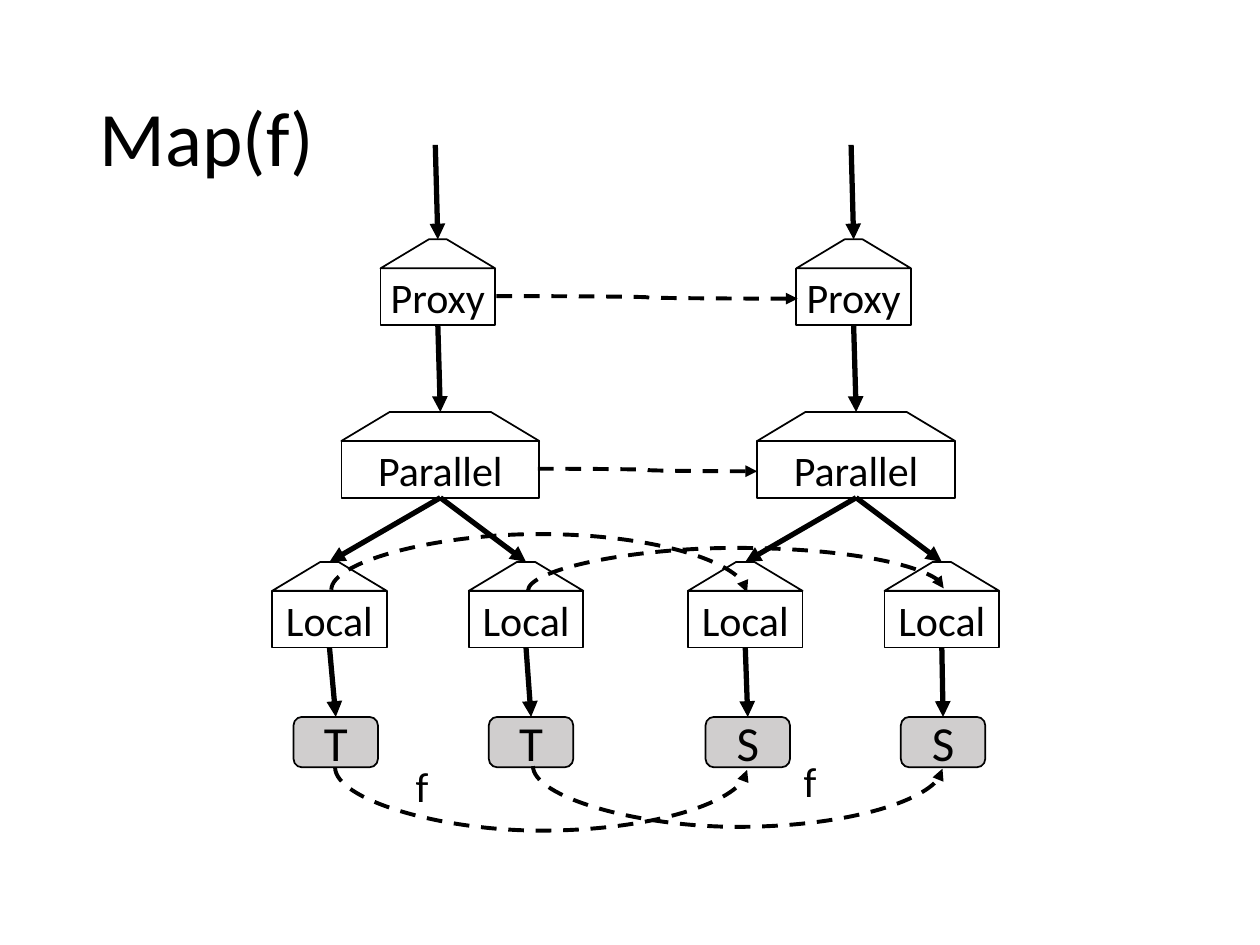
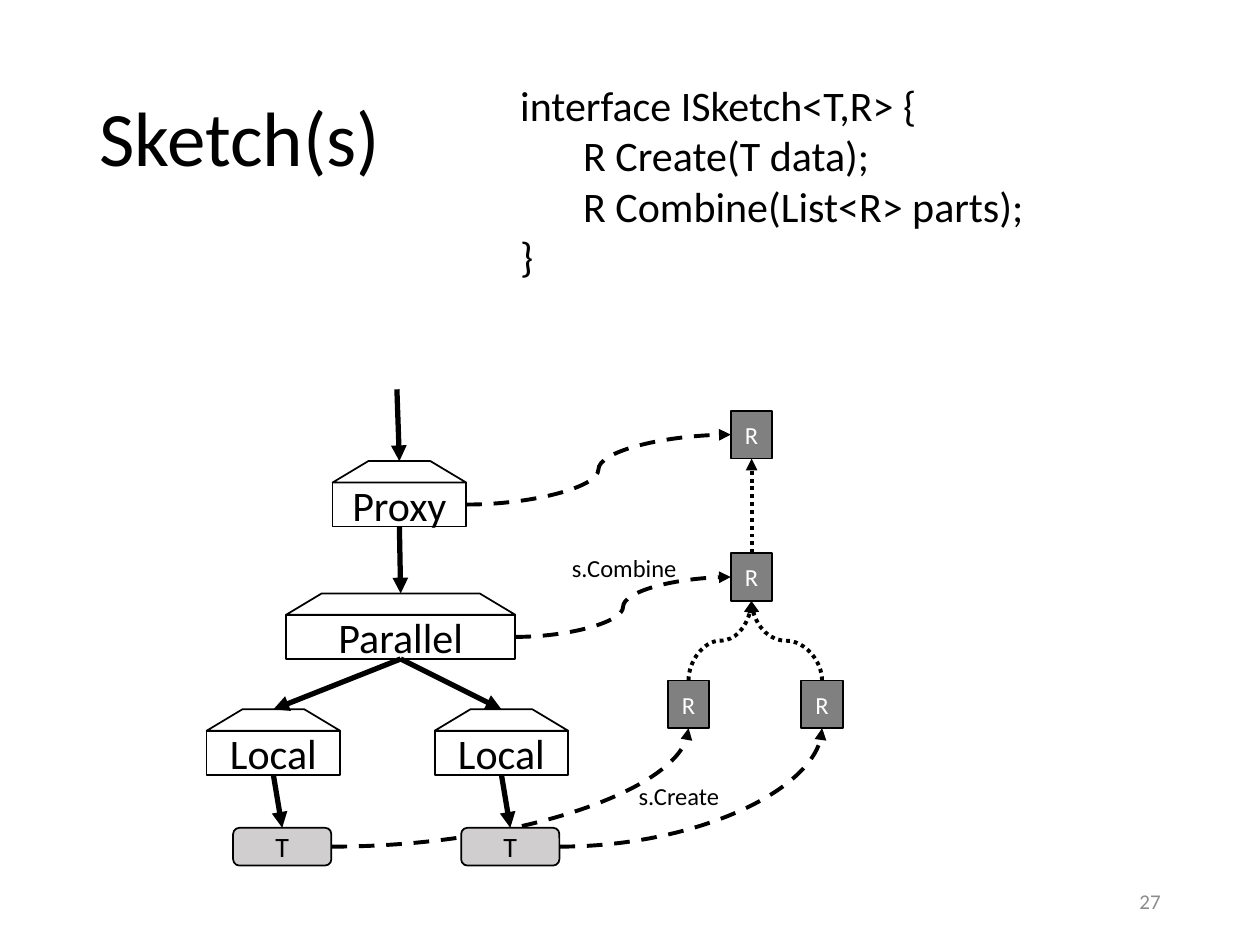
from dataclasses import dataclass

import pptx
import pptx.dml.color
import pptx.enum.dml
import pptx.enum.shapes
import pptx.enum.text
import pptx.oxml
import pptx.oxml.ns
import pptx.util

Inches = pptx.util.Inches
Pt = pptx.util.Pt
RGBColor = pptx.dml.color.RGBColor
SHAPE = pptx.enum.shapes.MSO_SHAPE
CONNECTOR = pptx.enum.shapes.MSO_CONNECTOR
DASH = pptx.enum.dml.MSO_LINE
ALIGN = pptx.enum.text.PP_ALIGN
ANCHOR = pptx.enum.text.MSO_ANCHOR
qn = pptx.oxml.ns.qn

BLACK = RGBColor(0x00, 0x00, 0x00)
WHITE = RGBColor(0xFF, 0xFF, 0xFF)
LEAF_GRAY = RGBColor(0xD0, 0xCE, 0xCE)
RESULT_GRAY = RGBColor(0x80, 0x80, 0x80)
NUMBER_GRAY = RGBColor(0x8C, 0x8C, 0x8C)
FONT = "Calibri"
TOP, LEFT, BOTTOM, RIGHT = range(4)


@dataclass
class TreeStyle:
    """Measures of a tree in inches; offsets count from its first Local node."""
    node_width: float
    parallel_width: float
    roof_height: float
    box_height: float
    proxy_offset: float
    parallel_offset: float
    step: float
    entry_top: float
    proxy_top: float
    parallel_top: float
    local_top: float
    leaf_top: float
    leaf_width: float
    leaf_height: float
    leaf_size: int


MAP_STYLE = TreeStyle(0.91, 1.57, 0.23, 0.45, 0.86, 0.55, 1.56,
                      1.15, 1.9, 3.27, 4.46, 5.69, 0.67, 0.4, 28)
SKETCH_STYLE = TreeStyle(1.06, 1.82, 0.17, 0.35, 1.0, 0.63, 1.81,
                         3.09, 3.66, 4.71, 5.63, 6.57, 0.78, 0.3, 16)


def style_text(text_frame, size, color=BLACK, align=ALIGN.LEFT):
    for paragraph in text_frame.paragraphs:
        paragraph.alignment = align
        for run in paragraph.runs:
            run.font.name = FONT
            run.font.size = Pt(size)
            run.font.color.rgb = color


def add_title(slide, text, width):
    title = slide.shapes.title
    title.left, title.top = Inches(0.69), Inches(0.4)
    title.width, title.height = Inches(width), Inches(1.45)
    title.text_frame.text = text
    title.text_frame.vertical_anchor = ANCHOR.MIDDLE
    title.text_frame.paragraphs[0].line_spacing = 0.9
    style_text(title.text_frame, 44)


def add_label(slide, text, left, top, width, height, size, wrap=True):
    label = slide.shapes.add_textbox(
        Inches(left), Inches(top), Inches(width), Inches(height))
    label.text_frame.word_wrap = wrap
    label.text_frame.text = text
    style_text(label.text_frame, size)
    return label


def add_block(shapes, kind, left, top, width, height, text="", size=24,
              fill=None, color=BLACK):
    block = shapes.add_shape(
        kind, Inches(left), Inches(top), Inches(width), Inches(height))
    block.shadow.inherit = False
    if fill is None:
        block.fill.background()
    else:
        block.fill.solid()
        block.fill.fore_color.rgb = fill
    block.line.color.rgb = BLACK
    block.line.width = Pt(1)
    if text:
        block.text_frame.text = text
        block.text_frame.word_wrap = False
        block.text_frame.vertical_anchor = ANCHOR.MIDDLE
        style_text(block.text_frame, size, color, ALIGN.CENTER)
    return block


def add_node(slide, style, text, left, top, width):
    """Add a box with a roof; return the roof and the box."""
    group = slide.shapes.add_group_shape()
    roof = add_block(group.shapes, SHAPE.TRAPEZOID, left, top, width, style.roof_height)
    roof.adjustments[0] = 1.667
    box = add_block(group.shapes, SHAPE.RECTANGLE, left, top + style.roof_height,
                    width, style.box_height, text)
    return roof, box


def is_joint(end):
    """Tell a (shape, side) pair from a point."""
    return hasattr(end[0], "shape_id")


def add_arrow(slide, start, end, kind=CONNECTOR.STRAIGHT, width=3, dash=None):
    """Add an arrow; each end is a point in inches or a (shape, side) pair."""
    arrow = slide.shapes.add_connector(kind, 0, 0, 0, 0)
    if is_joint(start):
        arrow.begin_connect(*start)
    else:
        arrow.begin_x, arrow.begin_y = Inches(start[0]), Inches(start[1])
    if is_joint(end):
        arrow.end_connect(*end)
    else:
        arrow.end_x, arrow.end_y = Inches(end[0]), Inches(end[1])
    arrow.line.color.rgb = BLACK
    arrow.line.width = Pt(width)
    if dash:
        arrow.line.dash_style = dash
    properties = arrow._element.spPr
    namespace = pptx.oxml.ns.nsdecls("a")
    properties.find(qn("a:ln")).append(
        pptx.oxml.parse_xml(f'<a:tailEnd {namespace} type="triangle"/>'))
    properties.append(pptx.oxml.parse_xml(f"<a:effectLst {namespace}/>"))
    return arrow


def add_curve(slide, start, end, dash=DASH.DASH):
    return add_arrow(slide, start, end, CONNECTOR.CURVE, 2.25, dash)


def turn_vertical(curve, reach=None):
    """Make a curve leave vertically, going out by reach inches before it returns."""
    across = curve.end_x - curve.begin_x
    down = curve.end_y - curve.begin_y
    middle_x = (curve.begin_x + curve.end_x) // 2
    middle_y = (curve.begin_y + curve.end_y) // 2
    curve.width, curve.height = abs(down), abs(across)
    curve.left = middle_x - curve.width // 2
    curve.top = middle_y - curve.height // 2
    frame = curve._element.spPr.find(qn("a:xfrm"))
    frame.set("rot", str(90 * 60000))
    frame.set("flipH", str(int(down < 0)))
    frame.set("flipV", str(int(across > 0)))
    if reach is not None:
        adjustments = curve._element.spPr.find(qn("a:prstGeom")).find(qn("a:avLst"))
        guide = adjustments.makeelement(qn("a:gd"), {
            "name": "adj1", "fmla": f"val {round(Inches(reach) / down * 100000)}"})
        adjustments.append(guide)


def make_quarter(curve):
    curve._element.spPr.find(qn("a:prstGeom")).set("prst", "curvedConnector2")


def add_tree(slide, style, left):
    """Add the nodes from Proxy to Local; return the Proxy, Parallel and Local boxes."""
    proxy_left = left + style.proxy_offset
    proxy_roof, proxy = add_node(slide, style, "Proxy", proxy_left,
                                 style.proxy_top, style.node_width)
    parallel_roof, parallel = add_node(slide, style, "Parallel", left + style.parallel_offset,
                                       style.parallel_top, style.parallel_width)
    entry_x = proxy_left + style.node_width / 2 - 0.02
    add_arrow(slide, (entry_x, style.entry_top), (proxy_roof, TOP))
    add_arrow(slide, (proxy, BOTTOM), (parallel_roof, TOP))
    local_boxes = []
    for index in range(2):
        roof, box = add_node(slide, style, "Local", left + index * style.step,
                             style.local_top, style.node_width)
        add_arrow(slide, (parallel, BOTTOM), (roof, TOP))
        local_boxes.append(box)
    return proxy, parallel, local_boxes


def add_leaf(slide, style, local, text, left):
    leaf = add_block(slide.shapes, SHAPE.ROUNDED_RECTANGLE, left, style.leaf_top,
                     style.leaf_width, style.leaf_height, text, style.leaf_size, LEAF_GRAY)
    add_arrow(slide, (local, BOTTOM), (leaf, TOP))
    return leaf


def add_result(slide, left, top):
    return add_block(slide.shapes, SHAPE.RECTANGLE, left, top, 0.33, 0.38, "R", 14,
                     RESULT_GRAY, WHITE)


def build_map_slide(presentation):
    slide = presentation.slides.add_slide(presentation.slide_layouts[5])
    add_title(slide, "Map(f)", 5.1)
    for left, leaf_left, leaf_text in [(2.16, 2.33, "T"), (5.46, 5.6, "S")]:
        _, _, local_boxes = add_tree(slide, MAP_STYLE, left)
        for index, local in enumerate(local_boxes):
            add_leaf(slide, MAP_STYLE, local, leaf_text, leaf_left + index * 1.55)

    for start, end in [((3.94, 2.35), (6.33, 2.37)), ((4.27, 3.72), (6.01, 3.74))]:
        add_curve(slide, start, end)
    arcs = [((2.63, 4.68), (5.93, 4.7), -0.44),
            ((4.19, 4.69), (7.49, 4.67), -0.34),
            ((2.66, 6.09), (5.93, 6.11), 0.5),
            ((4.23, 6.08), (7.48, 6.1), 0.48)]
    for start, end, reach in arcs:
        turn_vertical(add_curve(slide, start, end), reach)
    for left, top in [(3.2, 5.99), (6.28, 5.95)]:
        add_label(slide, "f", left, top, 0.31, 0.5, 24, wrap=False)


def build_sketch_slide(presentation):
    slide = presentation.slides.add_slide(presentation.slide_layouts[5])
    add_title(slide, "Sketch(s)", 8.62)
    number = add_label(slide, "27", 7.06, 6.95, 2.25, 0.4, 12)
    number.text_frame.vertical_anchor = ANCHOR.MIDDLE
    style_text(number.text_frame, 12, NUMBER_GRAY, ALIGN.RIGHT)

    proxy, parallel, local_boxes = add_tree(slide, SKETCH_STYLE, 1.64)
    final = add_result(slide, 5.8, 3.26)
    combined = add_result(slide, 5.8, 4.39)
    add_arrow(slide, (combined, TOP), (final, BOTTOM), width=2.25, dash=DASH.ROUND_DOT)
    add_curve(slide, (proxy, RIGHT), (final, LEFT))
    add_curve(slide, (parallel, RIGHT), (combined, LEFT))
    for index, local in enumerate(local_boxes):
        created = add_result(slide, 5.3 + index * 1.06, 5.4)
        turn_vertical(add_curve(slide, (created, TOP), (combined, BOTTOM), DASH.ROUND_DOT))
        leaf = add_leaf(slide, SKETCH_STYLE, local, "T", 1.85 + index * SKETCH_STYLE.step)
        make_quarter(add_curve(slide, (leaf, RIGHT), (created, BOTTOM)))

    add_label(slide, "s.Combine", 4.44, 4.34, 1.19, 0.34, 14)
    add_label(slide, "s.Create", 4.97, 6.15, 2.04, 0.49, 14, wrap=False)
    add_label(slide, "interface ISketch<T,R> {\n\tR Create(T data);\n"
              "\tR Combine(List<R> parts);\n}", 4.03, 0.58, 5.08, 1.72, 24)


def main():
    presentation = pptx.Presentation()
    presentation.slide_width = Inches(10)
    presentation.slide_height = Inches(7.5)
    build_map_slide(presentation)
    build_sketch_slide(presentation)
    presentation.save("out.pptx")


if __name__ == "__main__":
    main()
